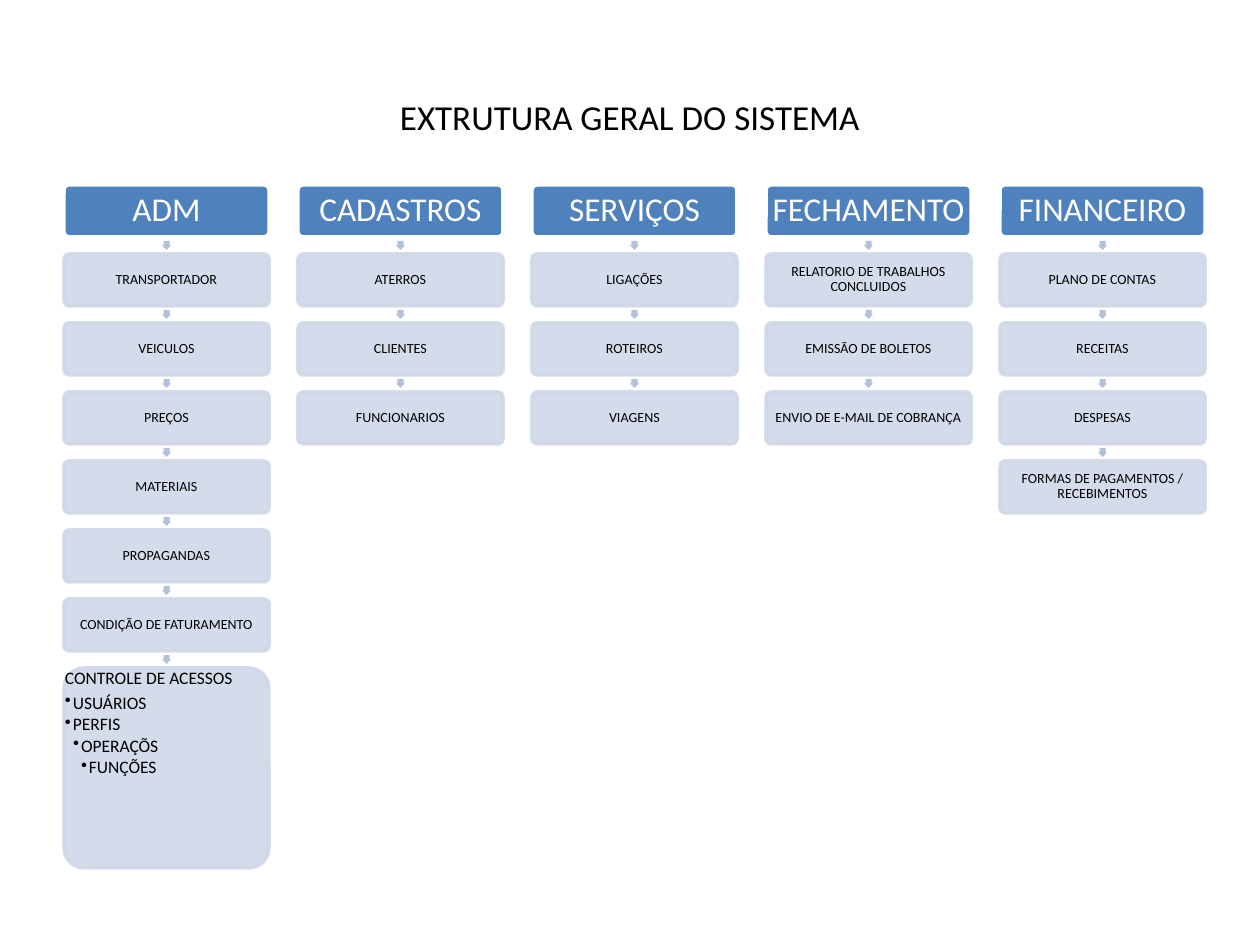
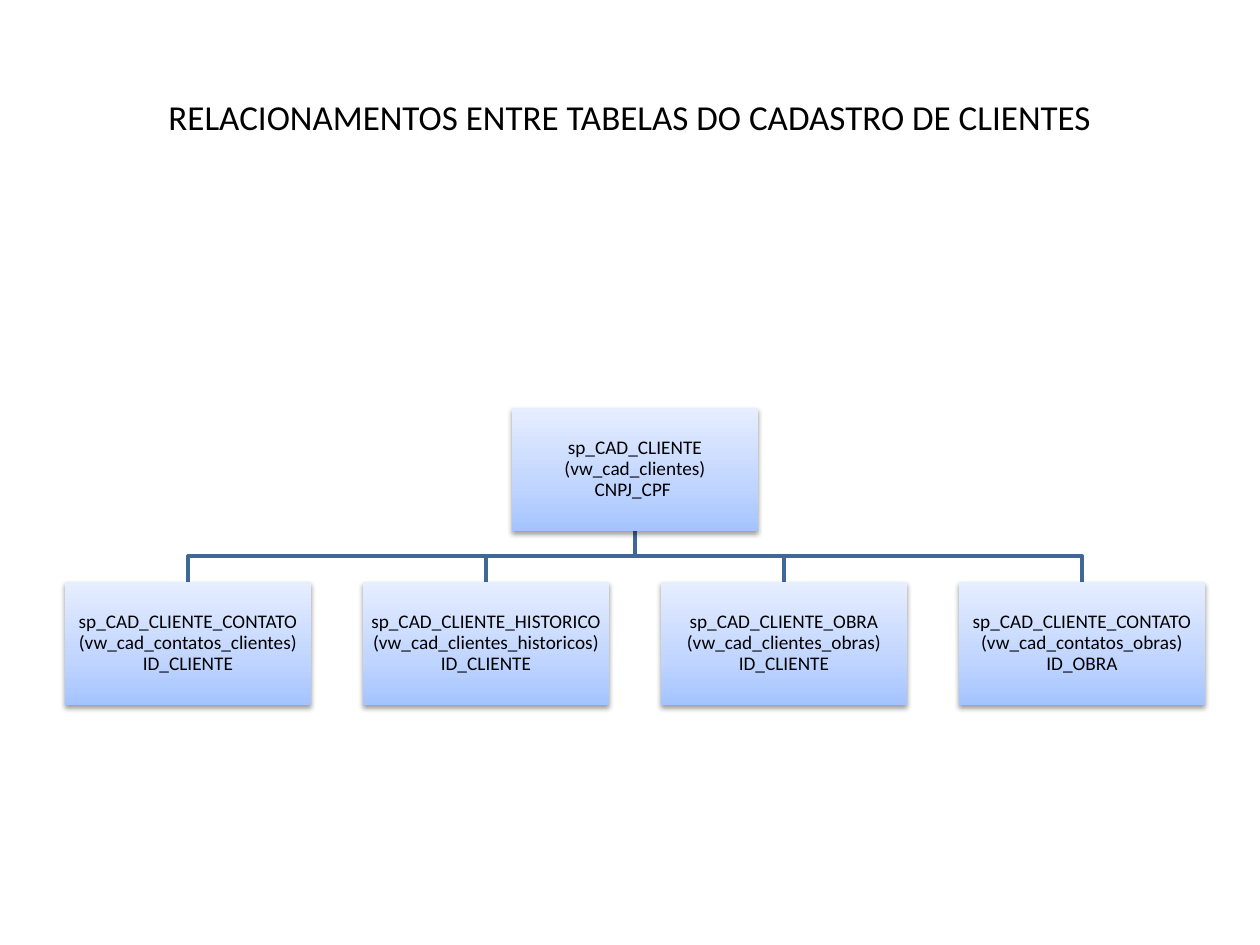
from lxml import etree
from pptx import Presentation
from pptx.dml.color import RGBColor
from pptx.enum.shapes import MSO_SHAPE
from pptx.enum.text import MSO_ANCHOR, PP_ALIGN
from pptx.oxml.ns import qn
from pptx.util import Pt

RECTANGLE = MSO_SHAPE.RECTANGLE
ROUNDED = MSO_SHAPE.ROUNDED_RECTANGLE
ARROW = MSO_SHAPE.RIGHT_ARROW
MIDDLE, TOP = MSO_ANCHOR.MIDDLE, MSO_ANCHOR.TOP
CENTER, LEFT = PP_ALIGN.CENTER, PP_ALIGN.LEFT

SCALE = 914400 / 126
FONT = "Calibri"
BLACK, WHITE = "000000", "FFFFFF"
HEADER_BLUE, PALE_BLUE, ARROW_BLUE, LINE_BLUE = "4F81BD", "D0D8E8", "B3C1DB", "3F6797"
GRADIENT = [(0, "A4C4FF"), (35, "BFD4FF"), (100, "E6EEFF")]

MODULE_LEFT, MODULE_TOP = 64, 185
MODULE_WIDTH, MODULE_HEIGHT = 205, 52
MODULE_STEP, ROW_STEP = 234, 69
ACCESS_HEIGHT, ARROW_SIZE = 200, 9
MODULES = [
    ("ADM", ["TRANSPORTADOR", "VEICULOS", "PREÇOS", "MATERIAIS", "PROPAGANDAS",
             "CONDIÇÃO DE FATURAMENTO"]),
    ("CADASTROS", ["ATERROS", "CLIENTES", "FUNCIONARIOS"]),
    ("SERVIÇOS", ["LIGAÇÕES", "ROTEIROS", "VIAGENS"]),
    ("FECHAMENTO", ["RELATORIO DE TRABALHOS CONCLUIDOS", "EMISSÃO DE BOLETOS",
                    "ENVIO DE E-MAIL DE COBRANÇA"]),
    ("FINANCEIRO", ["PLANO DE CONTAS", "RECEITAS", "DESPESAS",
                    "FORMAS DE PAGAMENTOS / RECEBIMENTOS"]),
]
ACCESS_ITEMS = [(0, "CONTROLE DE ACESSOS"), (1, "USUÁRIOS"), (1, "PERFIS"),
                (2, "OPERAÇÕS"), (3, "FUNÇÕES")]

TABLE_WIDTH, TABLE_HEIGHT, TABLE_STEP = 246, 123, 298
ROOT_LEFT, ROOT_TOP = 512, 408
CHILD_LEFT, CHILD_TOP = 65, 582
ROOT_TABLE = ["sp_CAD_CLIENTE", "(vw_cad_clientes)", "CNPJ_CPF "]
CHILD_TABLES = [
    ["sp_CAD_CLIENTE_CONTATO", "(vw_cad_contatos_clientes)", "ID_CLIENTE"],
    ["sp_CAD_CLIENTE_HISTORICO", "(vw_cad_clientes_historicos)", "ID_CLIENTE"],
    ["sp_CAD_CLIENTE_OBRA", "(vw_cad_clientes_obras)", "ID_CLIENTE"],
    ["sp_CAD_CLIENTE_CONTATO", "(vw_cad_contatos_obras)", "ID_OBRA"],
]


def px(value):
    return round(value * SCALE)


def color(hex_value):
    return RGBColor.from_string(hex_value)


def add_child(parent, tag, **attributes):
    return etree.SubElement(parent, qn(tag), {key: str(value) for key, value in attributes.items()})


def add_run(paragraph, text, size, font_color):
    run = paragraph.add_run()
    run.text = text
    run.font.name = FONT
    run.font.size = Pt(size)
    run.font.color.rgb = color(font_color)


def prepare_frame(shape, inset, anchor):
    frame = shape.text_frame
    frame.word_wrap = True
    frame.vertical_anchor = anchor
    frame.margin_left = frame.margin_right = px(inset)
    frame.margin_top = frame.margin_bottom = px(inset)
    return frame


def write_lines(shape, lines, size, font_color, inset=1):
    paragraph = prepare_frame(shape, inset, MIDDLE).paragraphs[0]
    paragraph.alignment = CENTER
    paragraph.line_spacing = 0.9
    for index, line in enumerate(lines):
        if index:
            paragraph.add_line_break()
        add_run(paragraph, line, size, font_color)


def add_plain_shape(slide, kind, left, top, width, height, fill):
    shape = slide.shapes.add_shape(kind, px(left), px(top), px(width), px(height))
    shape.shadow.inherit = False
    shape.line.fill.background()
    shape.fill.solid()
    shape.fill.fore_color.rgb = color(fill)
    return shape


def add_card(slide, left, top, height, fill, line, opacity=100):
    card = add_plain_shape(slide, ROUNDED, left, top, MODULE_WIDTH, height, fill)
    card.adjustments[0] = 0.1
    card.line.color.rgb = color(line)
    card.line.width = Pt(2)
    if opacity < 100:
        for color_element in card.element.spPr.iter(qn("a:srgbClr")):
            add_child(color_element, "a:alpha", val=opacity * 1000)
    return card


def add_arrow(slide, left, next_top):
    gap = ROW_STEP - MODULE_HEIGHT
    arrow = add_plain_shape(slide, ARROW, left + (MODULE_WIDTH - ARROW_SIZE) / 2,
                            next_top - (gap + ARROW_SIZE) / 2,
                            ARROW_SIZE, ARROW_SIZE, ARROW_BLUE)
    arrow.rotation = 90
    arrow.adjustments[0] = 0.67
    arrow.adjustments[1] = 0.5


def add_access_list(slide, left, top):
    add_card(slide, left, top, ACCESS_HEIGHT, PALE_BLUE, PALE_BLUE, 90)
    box = slide.shapes.add_textbox(px(left), px(top), px(MODULE_WIDTH), px(ACCESS_HEIGHT))
    frame = prepare_frame(box, 1, TOP)
    for index, (level, text) in enumerate(ACCESS_ITEMS):
        paragraph = frame.add_paragraph() if index else frame.paragraphs[0]
        paragraph.alignment = LEFT
        paragraph.level = level
        paragraph.line_spacing = 0.9
        paragraph.space_after = Pt(1.5 if level else 3.5)
        add_run(paragraph, text, 10, BLACK)
        if level:
            properties = paragraph._p.get_or_add_pPr()
            properties.set("marL", str(px(8 * level)))
            properties.set("indent", str(px(-8)))
            add_child(properties, "a:buChar", char="•")


def add_module(slide, left, name, items):
    header = add_card(slide, left, MODULE_TOP, MODULE_HEIGHT, HEADER_BLUE, WHITE)
    write_lines(header, [name], 19, WHITE, 2)
    for row, item in enumerate(items, 1):
        top = MODULE_TOP + row * ROW_STEP
        add_arrow(slide, left, top)
        card = add_card(slide, left, top, MODULE_HEIGHT, PALE_BLUE, PALE_BLUE, 90)
        write_lines(card, [item], 8, BLACK)


def add_table_box(slide, left, top, lines):
    box = add_plain_shape(slide, RECTANGLE, left, top, TABLE_WIDTH, TABLE_HEIGHT, WHITE)
    box.fill.gradient()
    box.fill.gradient_angle = 90
    properties = box.element.spPr
    stops = properties.find(".//" + qn("a:gsLst"))
    for stop in list(stops):
        stops.remove(stop)
    for position, stop_color in GRADIENT:
        stop = add_child(stops, "a:gs", pos=position * 1000)
        add_child(stop, "a:srgbClr", val=stop_color)
    shadow = add_child(properties.find(qn("a:effectLst")), "a:outerShdw", blurRad=Pt(3.1),
                       dist=Pt(1.6), dir=5400000, rotWithShape=0)
    shadow_color = add_child(shadow, "a:srgbClr", val=BLACK)
    add_child(shadow_color, "a:alpha", val=38000)
    write_lines(box, lines, 11, BLACK)


def add_branch(slide, child_left):
    root_x = ROOT_LEFT + TABLE_WIDTH / 2
    child_x = child_left + TABLE_WIDTH / 2
    root_bottom = ROOT_TOP + TABLE_HEIGHT
    middle_y = (root_bottom + CHILD_TOP) / 2
    builder = slide.shapes.build_freeform(root_x, root_bottom, scale=SCALE)
    builder.add_line_segments([(root_x, middle_y), (child_x, middle_y), (child_x, CHILD_TOP)],
                              close=False)
    branch = builder.convert_to_shape()
    branch.shadow.inherit = False
    branch.fill.background()
    branch.line.color.rgb = color(LINE_BLUE)
    branch.line.width = Pt(2)


def add_titled_slide(presentation, text):
    slide = presentation.slides.add_slide(presentation.slide_layouts[5])
    title = slide.shapes.title
    title.left, title.top, title.width, title.height = px(63), px(38), px(1134), px(157)
    title.text_frame.vertical_anchor = MIDDLE
    paragraph = title.text_frame.paragraphs[0]
    paragraph.alignment = CENTER
    add_run(paragraph, text, 20, BLACK)
    return slide


def build_structure(presentation):
    slide = add_titled_slide(presentation, "EXTRUTURA GERAL DO SISTEMA")
    for column, (name, items) in enumerate(MODULES):
        add_module(slide, MODULE_LEFT + column * MODULE_STEP, name, items)
    access_top = MODULE_TOP + (len(MODULES[0][1]) + 1) * ROW_STEP
    add_arrow(slide, MODULE_LEFT, access_top)
    add_access_list(slide, MODULE_LEFT, access_top)


def build_relationships(presentation):
    slide = add_titled_slide(presentation, "RELACIONAMENTOS ENTRE TABELAS DO CADASTRO DE CLIENTES")
    child_lefts = [CHILD_LEFT + index * TABLE_STEP for index in range(len(CHILD_TABLES))]
    for left in reversed(child_lefts):
        add_branch(slide, left)
    add_table_box(slide, ROOT_LEFT, ROOT_TOP, ROOT_TABLE)
    for left, lines in zip(child_lefts, CHILD_TABLES):
        add_table_box(slide, left, CHILD_TOP, lines)


def main():
    presentation = Presentation()
    presentation.slide_width, presentation.slide_height = px(1260), px(945)
    build_structure(presentation)
    build_relationships(presentation)
    presentation.save("out.pptx")


main()
